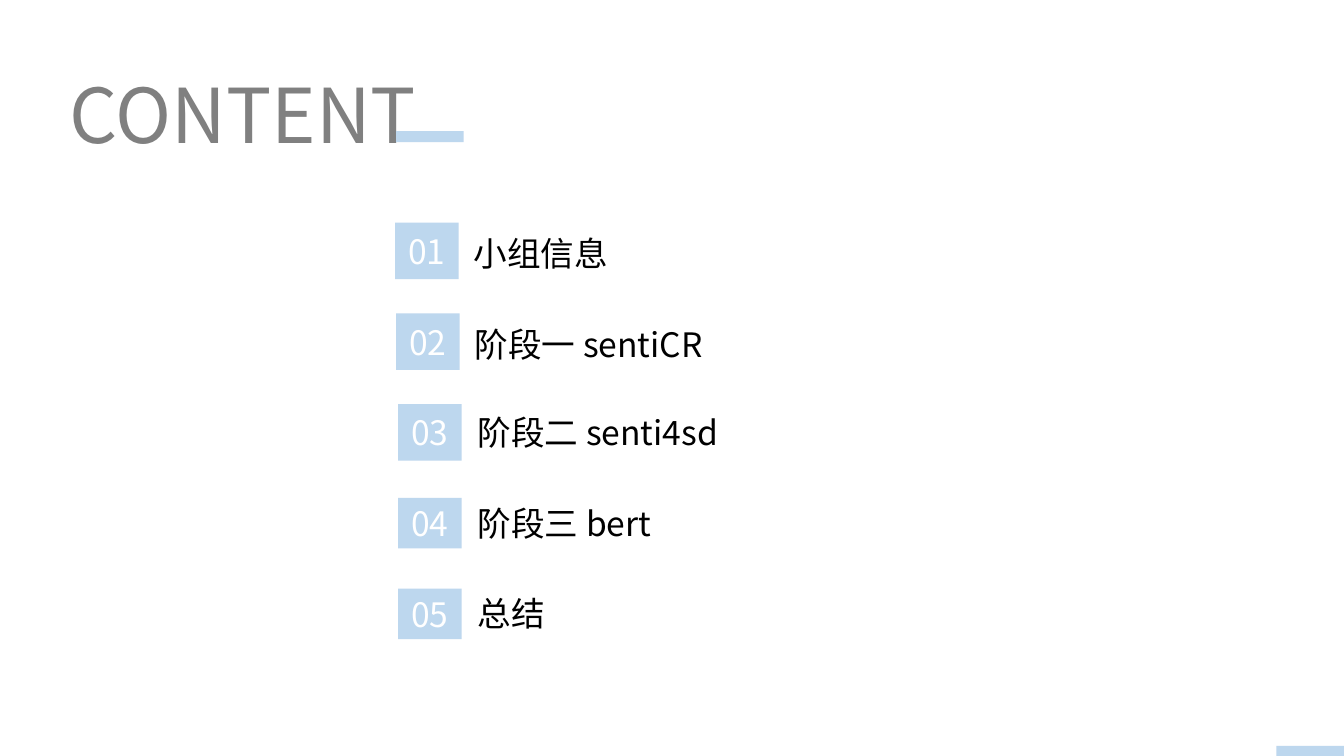
"""Build the contents slide: a title, five numbered entries and accent bars."""
from lxml import etree
from pptx import Presentation
from pptx.dml.color import RGBColor
from pptx.enum.shapes import MSO_SHAPE
from pptx.enum.text import MSO_ANCHOR, MSO_AUTO_SIZE, PP_ALIGN
from pptx.oxml.ns import qn
from pptx.util import Inches, Pt

RECT = MSO_SHAPE.RECTANGLE
TOP, MIDDLE = MSO_ANCHOR.TOP, MSO_ANCHOR.MIDDLE
LEFT, CENTER = PP_ALIGN.LEFT, PP_ALIGN.CENTER
GROW = MSO_AUTO_SIZE.SHAPE_TO_FIT_TEXT

FONT = "Noto Sans CJK SC"
BLUE, GRAY, WHITE, BLACK = "BDD7EE", "808080", "FFFFFF", "000000"
W, H = 13.33, 7.5

TITLE = "CONTENT"
TITLE_BOX = (0.59, 0.62, 6.66, 1.01)
BAR_W, BAR_H = 0.67, 0.11
BARS = [(W - BAR_W, H - 0.1), (3.93, 1.3)]

# label, number left, number height, label left, label top, label width
ENTRIES = [
    ("小组信息", 3.92, 0.56, 4.6, 2.31, 3.25),
    ("阶段一 sentiCR", 3.93, 0.56, 4.61, 3.21, 2.86),
    ("阶段二 senti4sd", 3.95, 0.56, 4.64, 4.08, 2.83),
    ("阶段三 bert", 3.95, 0.5, 4.64, 4.99, 2.83),
    ("总结", 3.95, 0.5, 4.64, 5.88, 2.83),
]
FIRST_MIDDLE, PITCH = 2.49, 0.9
NUMBER_W, LABEL_H = 0.63, 0.46

TITLE_STYLE = {"alignment": LEFT}
NUMBER_STYLE = {"alignment": CENTER}
LABEL_STYLE = {"alignment": LEFT, "line_spacing": 0.9, "space_before": Pt(10)}


def rgb(value):
    """Turn a hex string into a colour."""
    return RGBColor.from_string(value)


def inches(*values):
    """Turn numbers into lengths."""
    return [Inches(v) for v in values]


def write(s, text, size, color, anchor, style):
    """Put one formatted paragraph into a shape."""
    tf = s.text_frame
    frame = {"word_wrap": True, "auto_size": GROW, "vertical_anchor": anchor}
    for name, value in frame.items():
        setattr(tf, name, value)
    p = tf.paragraphs[0]
    for name, value in style.items():
        setattr(p, name, value)
    r = p.add_run()
    r.text = text
    r.font.name, r.font.size = FONT, Pt(size)
    r.font.color.rgb = rgb(color)
    ea = etree.SubElement(r.font._element, qn("a:ea"))
    ea.set("typeface", FONT)


def add_block(slide, x, y, w, h):
    """Add a plain blue rectangle."""
    s = slide.shapes.add_shape(RECT, *inches(x, y, w, h))
    s.shadow.inherit = False
    s.fill.solid()
    s.fill.fore_color.rgb = rgb(BLUE)
    s.line.fill.background()
    return s


def main():
    """Lay out the slide and save it."""
    prs = Presentation()
    prs.slide_width, prs.slide_height = inches(W, H)
    slide = prs.slides.add_slide(prs.slide_layouts[5])

    title = slide.shapes.title
    title.left, title.top, title.width, title.height = inches(*TITLE_BOX)
    write(title, TITLE, 54, GRAY, TOP, TITLE_STYLE)
    for x, y in BARS:
        add_block(slide, x, y, BAR_W, BAR_H)

    for i, (label, x, h, label_x, label_y, label_w) in enumerate(ENTRIES):
        y = FIRST_MIDDLE + i * PITCH - h / 2
        number = add_block(slide, x, y, NUMBER_W, h)
        write(number, f"{i + 1:02}", 24, WHITE, MIDDLE, NUMBER_STYLE)
        box = slide.shapes.add_textbox(*inches(label_x, label_y, label_w, LABEL_H))
        write(box, label, 24, BLACK, TOP, LABEL_STYLE)

    prs.save("out.pptx")


if __name__ == "__main__":
    main()
